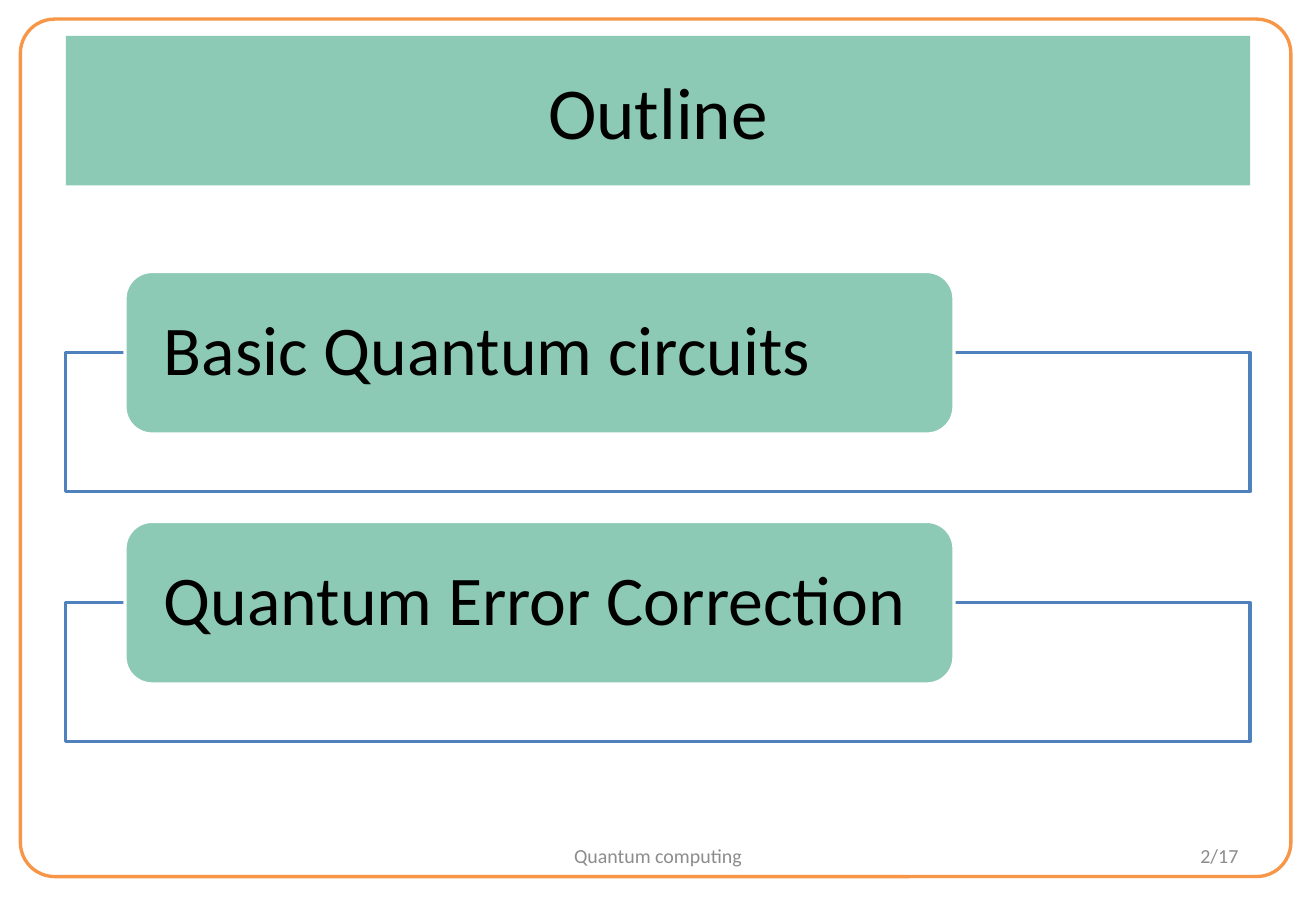
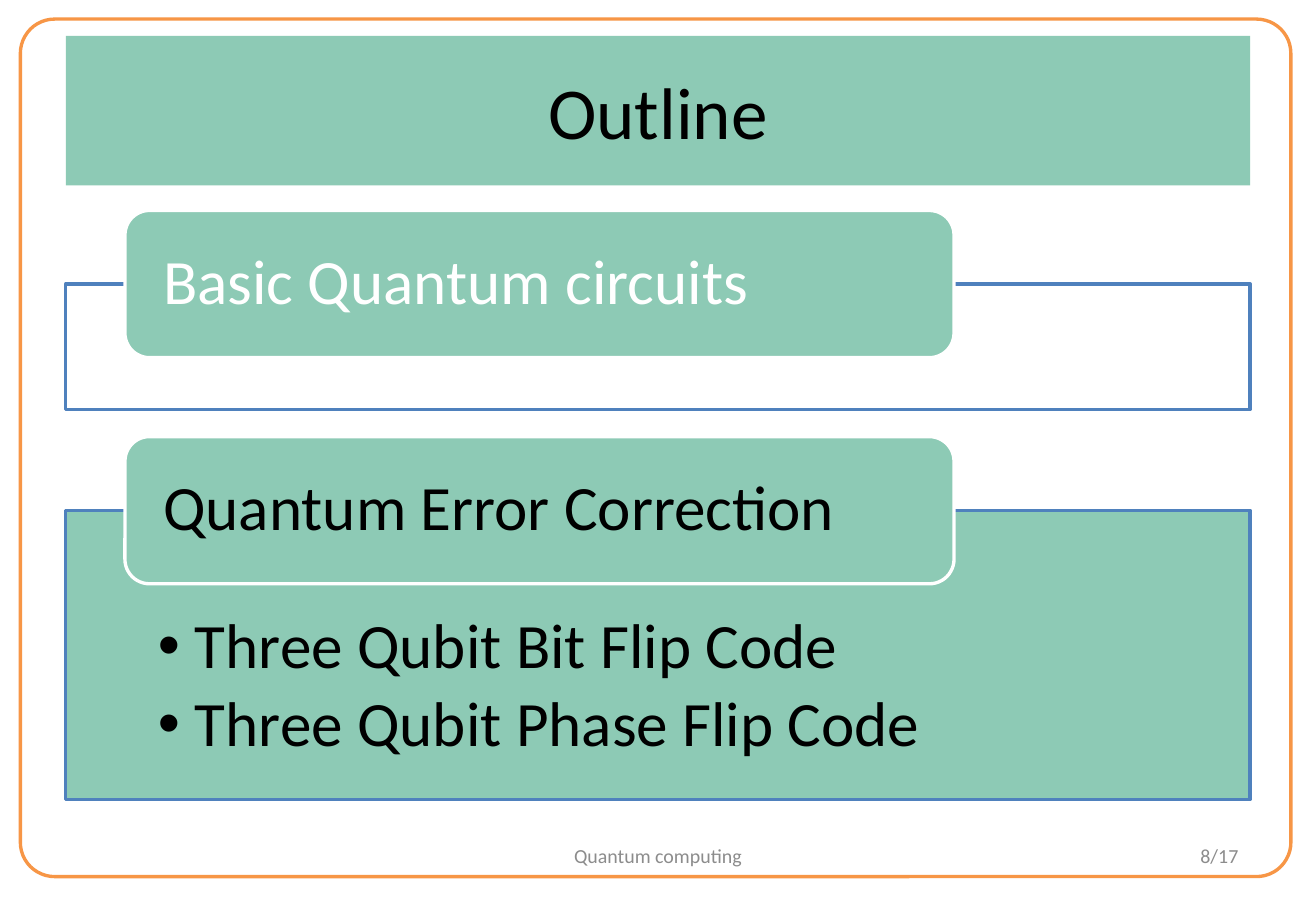
"""Build the two outline slides of a talk on quantum computing."""
from dataclasses import dataclass

from lxml.etree import SubElement
from pptx import Presentation
from pptx.dml.color import RGBColor
from pptx.enum.shapes import MSO_SHAPE
from pptx.enum.text import MSO_ANCHOR, MSO_AUTO_SIZE, PP_ALIGN
from pptx.oxml.ns import qn
from pptx.util import Inches, Pt


@dataclass(frozen=True)
class Theme:
    """Colours, font and type sizes of the talk."""
    mint: RGBColor = RGBColor(0x8D, 0xCA, 0xB5)
    blue: RGBColor = RGBColor(0x4F, 0x81, 0xBD)
    orange: RGBColor = RGBColor(0xF7, 0x96, 0x46)
    grey: RGBColor = RGBColor(0x8C, 0x8C, 0x8C)
    white: RGBColor = RGBColor(0xFF, 0xFF, 0xFF)
    black: RGBColor = RGBColor(0, 0, 0)
    font: str = "Calibri"
    title_size: int = 44
    footer_size: int = 12
    outline: float = 2


def paint(box, fill, line):
    """Fill a box and give it an outline; None leaves either one out."""
    if fill is None:
        box.fill.background()
    else:
        box.fill.solid()
        box.fill.fore_color.rgb = fill
    if line is None:
        box.line.fill.background()
    else:
        box.line.color.rgb = line
        box.line.width = Pt(theme.outline)


def style(paragraph, size, color, align):
    """Set the font and alignment of a paragraph."""
    paragraph.alignment = align
    paragraph.font.name = theme.font
    paragraph.font.size = Pt(size)
    paragraph.font.color.rgb = color


theme = Theme()
prs = Presentation()
prs.slide_width = Inches(11)
prs.slide_height = Inches(7.5)
width, height = prs.slide_width, prs.slide_height

margin = int(width * 0.05)
content = width - 2 * margin
title_top, title_height = int(height * 0.04), Inches(1.25)
footer_top, footer_height = Inches(6.95), Inches(0.4)
tab_left, tab_width = margin + int(content * 0.05), int(content * 0.7)
tab_rows, panel_rows, gap_rows = 1.36, 1.16, 0.25
full_size = 42

outlines = [
    dict(page="2/17", layout=5, size=42, top=2.27, topics=[
        ("Basic Quantum circuits", theme.black, []),
        ("Quantum Error Correction", theme.black, []),
    ]),
    dict(page="8/17", layout=1, size=38, top=1.76, topics=[
        ("Basic Quantum circuits", theme.white, []),
        ("Quantum Error Correction", theme.black,
         ["Three Qubit Bit Flip Code", "Three Qubit Phase Flip Code"]),
    ]),
]

for outline in outlines:
    slide = prs.slides.add_slide(prs.slide_layouts[outline["layout"]])
    shapes = slide.shapes
    size = outline["size"]
    scale = size / full_size

    title = shapes.title
    title.left, title.top, title.width, title.height = margin, title_top, content, title_height
    paint(title, theme.mint, None)
    title.text_frame.text = "Outline"
    title.text_frame.vertical_anchor = MSO_ANCHOR.MIDDLE
    style(title.text_frame.paragraphs[0], theme.title_size, theme.black, PP_ALIGN.CENTER)

    tab_top = Inches(outline["top"])
    tab_height = Inches(tab_rows * scale)
    for topic, topic_color, details in outline["topics"]:
        panel_top = tab_top + tab_height // 2
        panel_height = Inches(2.42 if details else panel_rows * scale)
        if details:
            panel = slide.placeholders[1]
            panel.left, panel.top, panel.width, panel.height = (
                margin, panel_top, content, panel_height)
            paint(panel, theme.mint, theme.blue)
            frame = panel.text_frame
            frame.text = "\n".join(details)
            frame.auto_size = MSO_AUTO_SIZE.NONE
            frame.margin_left = frame.margin_right = Inches(0.77)
            frame.margin_top, frame.margin_bottom = Inches(0.87), Inches(0.3)
            for detail in frame.paragraphs:
                props = detail._p.get_or_add_pPr()
                props.set("marL", str(Inches(0.31)))
                props.set("indent", str(-Inches(0.31)))
                SubElement(props, qn("a:buChar"), char="•")
                style(detail, size, theme.black, PP_ALIGN.LEFT)
                detail.line_spacing = 0.9
                detail.space_before = Pt(0)
                detail.space_after = Pt(size * 0.15)
        else:
            panel = shapes.add_shape(
                MSO_SHAPE.RECTANGLE, margin, panel_top, content, panel_height)
            panel.shadow.inherit = False
            paint(panel, theme.white, theme.blue)
            panel_color = panel._element.spPr.find(qn("a:solidFill"))[0]
            SubElement(panel_color, qn("a:alpha"), val="90000")

        tab = shapes.add_shape(
            MSO_SHAPE.ROUNDED_RECTANGLE, tab_left, tab_top, tab_width, tab_height)
        tab.shadow.inherit = False
        paint(tab, theme.mint, theme.white)
        frame = tab.text_frame
        frame.text = topic
        frame.word_wrap = True
        frame.vertical_anchor = MSO_ANCHOR.MIDDLE
        frame.margin_left = frame.margin_right = Inches(0.26)
        frame.margin_top = frame.margin_bottom = 0
        style(frame.paragraphs[0], size, topic_color, PP_ALIGN.LEFT)
        frame.paragraphs[0].line_spacing = 0.9

        tab_top = panel_top + panel_height + Inches(gap_rows * scale)

    page_width, talk_width = Inches(2.57), Inches(3.48)
    for words, left, footer_width, align in [
        (outline["page"], width - margin - page_width, page_width, PP_ALIGN.RIGHT),
        ("Quantum computing", (width - talk_width) // 2, talk_width, PP_ALIGN.CENTER),
    ]:
        footer = shapes.add_textbox(left, footer_top, footer_width, footer_height).text_frame
        footer.text = words
        footer.word_wrap = True
        footer.vertical_anchor = MSO_ANCHOR.MIDDLE
        style(footer.paragraphs[0], theme.footer_size, theme.grey, align)

    border = shapes.add_shape(
        MSO_SHAPE.ROUNDED_RECTANGLE, Inches(0.17), Inches(0.16), Inches(10.62), Inches(7.17))
    border.adjustments[0] = 0.04
    border.shadow.inherit = False
    paint(border, None, theme.orange)

prs.save("out.pptx")
